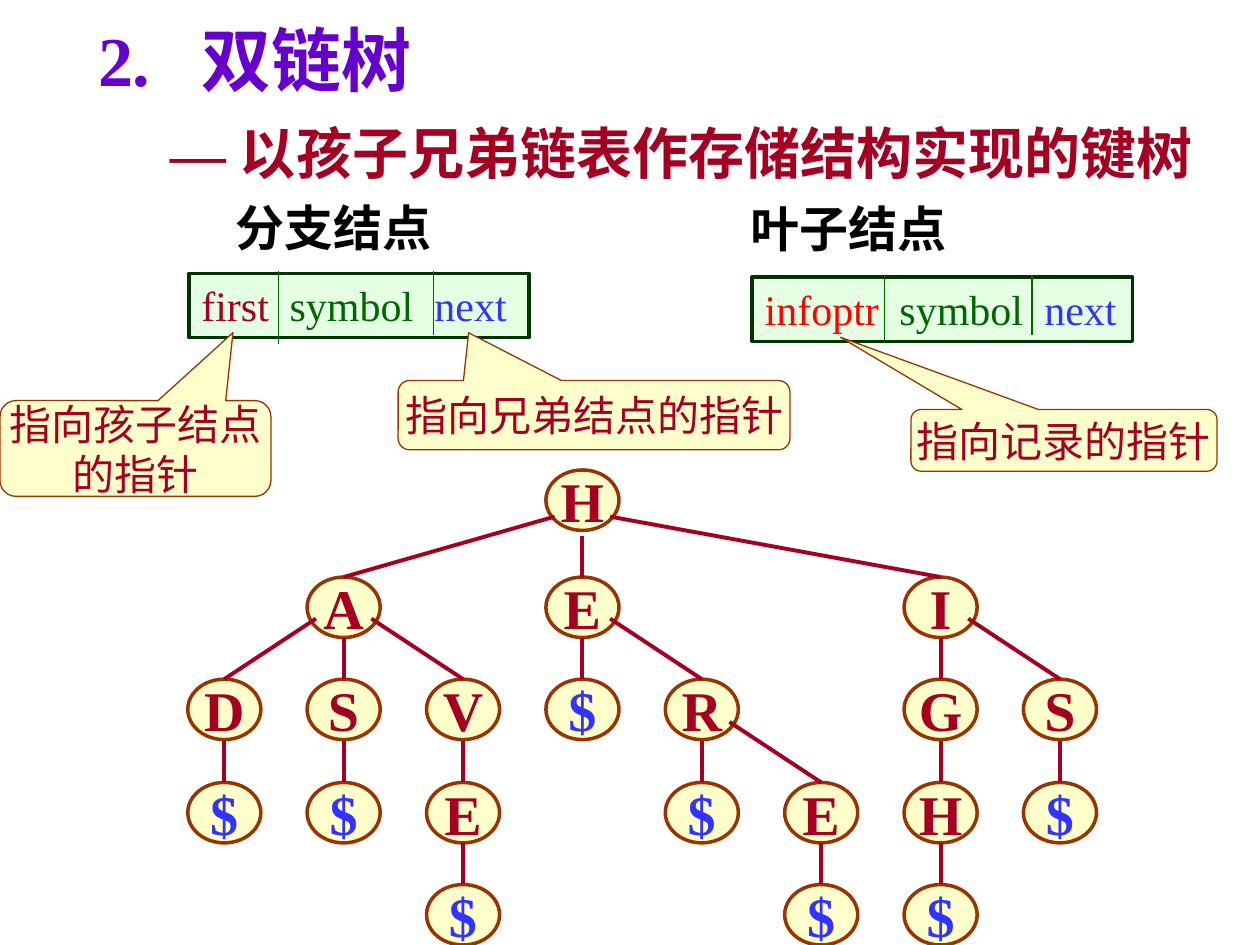
from lxml import etree
from pptx import Presentation
from pptx.dml.color import RGBColor as Rgb
from pptx.enum.shapes import MSO_CONNECTOR as Conn, MSO_SHAPE as Kind
from pptx.enum.text import MSO_ANCHOR as Anchor, PP_ALIGN as Align
from pptx.oxml.ns import qn
from pptx.util import Pt

PX = 9144  # 100 px to the inch
TIMES, SANS = "Times New Roman", "Noto Sans CJK SC"
HEX = {
    "title": "6600CC", "wine": "A50021", "red": "FF0000", "blue": "3333FF",
    "green": "006600", "dark": "003300", "mint": "CCFFCC", "cream": "FFFFCC",
    "brown": "993300", "black": "000000",
}

# Tree grid: column step, row tops and node size
COL, STEP, TOPS = 178, 94.75, (373, 458, 539, 621, 702)
WIDE, HIGH = 58, 48

# Each node is letter, column, children
TREE = ("H", 3, [
    ("A", 1, [
        ("D", 0, [("$", 0, [])]),
        ("S", 1, [("$", 1, [])]),
        ("V", 2, [("E", 2, [("$", 2, [])])]),
    ]),
    ("E", 3, [
        ("$", 3, []),
        ("R", 4, [("$", 4, []), ("E", 5, [("$", 5, [])])]),
    ]),
    ("I", 6, [
        ("G", 6, [("H", 6, [("$", 6, [])])]),
        ("S", 7, [("$", 7, [])]),
    ]),
])


def px(*nums):
    return [round(n * PX) for n in nums]


def rgb(name):
    return Rgb.from_string(HEX[name])


def write(shape, *paras, size=24, color="wine", bold=False, font=TIMES,
          align=Align.LEFT, anchor=Anchor.TOP, wrap=False, tabs=()):
    """Each paragraph is a string or a list of (text, changes) pairs."""
    frame = shape.text_frame
    frame.word_wrap, frame.vertical_anchor = wrap, anchor
    for i, parts in enumerate(paras):
        para = frame.add_paragraph() if i else frame.paragraphs[0]
        para.alignment = align
        if tabs:
            stops = etree.SubElement(para._p.get_or_add_pPr(), qn("a:tabLst"))
            for pos in tabs:
                etree.SubElement(stops, qn("a:tab"), pos=str(pos * PX), algn="l")
        for text, new in [(parts, {})] if isinstance(parts, str) else parts:
            run = para.add_run()
            run.text = text
            run.font.size, run.font.bold = Pt(size), bold
            run.font.name = new.get("font", font)
            run.font.color.rgb = rgb(new.get("color", color))
            etree.SubElement(run.font._element, qn("a:ea"),
                             typeface=new.get("east", SANS))


def label(slide, box, *paras, **style):
    write(slide.shapes.add_textbox(*px(*box)), *paras, **style)


def block(slide, kind, box, fill, edge, width):
    shape = slide.shapes.add_shape(kind, *px(*box))
    shape.shadow.inherit = False
    shape.fill.solid()
    shape.fill.fore_color.rgb = rgb(fill)
    shape.line.color.rgb = rgb(edge)
    shape.line.width = Pt(width)
    return shape


def line(slide, start, end, color, width):
    wire = slide.shapes.add_connector(Conn.STRAIGHT, *px(*start, *end))
    wire.line.color.rgb = rgb(color)
    wire.line.width = Pt(width)
    etree.SubElement(wire._element.spPr, qn("a:effectLst"))
    return wire


def record(slide, box, parts, tabs, cuts):
    """A node layout: a half-clear bar with dividers (x, top, bottom)."""
    bar = block(slide, Kind.RECTANGLE, box, "mint", "dark", 2)
    tint = bar.fill._xPr.find(qn("a:solidFill"))[0]
    etree.SubElement(tint, qn("a:alpha"), val="50000")
    write(bar, parts, tabs=tabs, wrap=True)
    for x, top, low in cuts:
        line(slide, (x, top), (x, low), "green", 0.75)


def callout(slide, box, tip, *texts):
    note = block(slide, Kind.ROUNDED_RECTANGULAR_CALLOUT, box,
                 "cream", "brown", 0.75)
    note.adjustments[0], note.adjustments[1] = tip
    write(note, *texts, align=Align.CENTER, anchor=Anchor.MIDDLE)


def grow(slide, node, row=0, above=None):
    """Draw a node, its line from the parent, then its children."""
    letter, col, kids = node
    mid, top = COL + STEP * col, TOPS[row]
    oval = block(slide, Kind.OVAL, (mid - WIDE / 2, top, WIDE, HIGH),
                 "cream", "brown", 2)
    write(oval, letter, size=32, bold=True, align=Align.CENTER,
          anchor=Anchor.MIDDLE, color="blue" if letter == "$" else "wine")
    if above is not None:
        side = (col > above) - (col < above)
        start = (COL + STEP * above + 22 * side, top - (48 if side else 33))
        wire = line(slide, start, (mid, top), "wine", 2.25)
        wire.end_connect(oval, 0)
    for kid in kids:
        grow(slide, kid, row + 1, col)


def main():
    deck = Presentation()
    deck.slide_width, deck.slide_height = px(1000, 750)
    slide = deck.slides.add_slide(deck.slide_layouts[6])

    # Key tree
    grow(slide, TREE)

    # Headings
    label(slide, (68, 8, 329, 77), "2.\t双链树", size=40, color="title",
          bold=True, wrap=True, tabs=[82])
    label(slide, (125, 89, 845, 63),
          [("— ", {"east": TIMES}),
           ("以孩子兄弟链表作存储结构实现的键树", {"font": SANS})],
          size=32, bold=True)
    for x, y, text in ((177, 152, "分支结点"), (586, 153, "叶子结点")):
        label(slide, (x, y, 176, 57), text, size=28, color="black", bold=True)

    # Node layouts
    tail = [("symbol\t", {"color": "green"}), ("next", {"color": "blue"})]
    record(slide, (150, 217, 270, 51), [("first\t", {})] + tail,
           (70, 185), ((221, 215, 273), (344, 215, 266)))
    record(slide, (597, 220, 302, 51), [("infoptr\t", {"color": "red"})] + tail,
           (107, 222), ((702, 218, 272), (819, 218, 266)))

    # Notes on the pointers
    callout(slide, (0, 318, 215, 76), (0.36, -1.21), "指向孩子结点", "的指针")
    callout(slide, (316, 302, 311, 55), (-0.32, -1.19), "指向兄弟结点的指针")
    callout(slide, (723, 325, 243, 49), (-0.73, -1.67), "指向记录的指针")

    deck.save("out.pptx")


if __name__ == "__main__":
    main()
